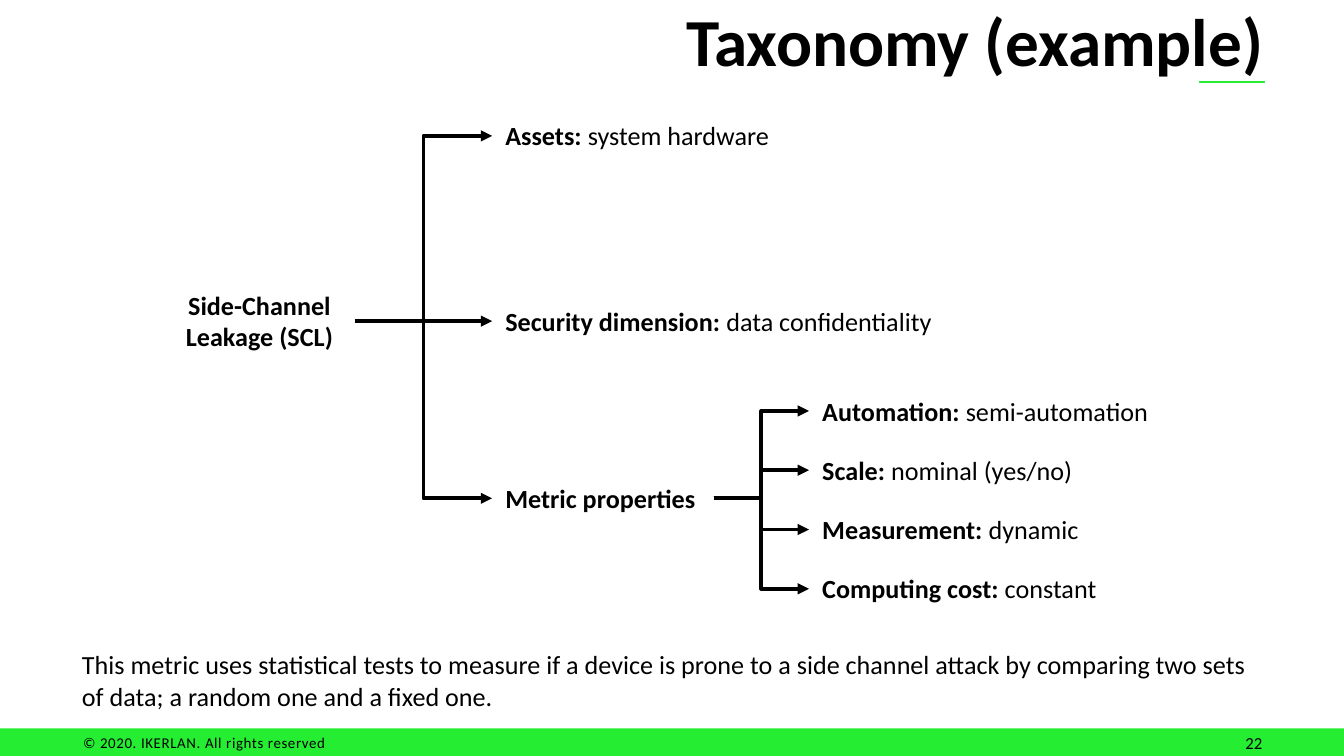
from pptx import Presentation
from pptx.dml.color import RGBColor
from pptx.enum.shapes import MSO_CONNECTOR, MSO_SHAPE
from pptx.enum.text import MSO_ANCHOR, PP_ALIGN
from pptx.oxml.ns import qn
from pptx.util import Cm, Pt
from lxml.etree import SubElement

BLACK = "000000"
GREEN = "25EE32"
LEFT_SIDE, RIGHT_SIDE = 1, 3  # connection sites of a rectangle

LABEL_HEIGHT = 0.86
BRANCH_LEFT = 9.3
LEAF_LEFT, LEAF_WIDTH = 15.29, 6.93
LEAF_FIRST, LEAF_STEP = 7.77, 1.12
ROOT_MIDDLE = 6.07

BRANCHES = [
    ("Assets: ", "system hardware", 2.57, 5.99),
    ("Security dimension: ", "data confidentiality", ROOT_MIDDLE, 9.19),
    ("Metric properties", "", 9.42, 4.19),
]
LEAVES = [
    ("Automation: ", "semi-automation"),
    ("Scale: ", "nominal (yes/no)"),
    ("Measurement: ", "dynamic"),
    ("Computing cost: ", "constant"),
]


def color(hex_value):
    return RGBColor.from_string(hex_value)


class SlideBuilder:
    """Holds the text style and the slide being drawn."""

    font_name = "Calibri"
    text_size = 14

    def __init__(self, page):
        self.page = page

    def text(self, spans, left, top, width, height, size=text_size,
             align=PP_ALIGN.LEFT, anchor=MSO_ANCHOR.TOP, inset=None, spacing=None):
        """Add a text box of one paragraph; spans are (text, bold) pairs."""
        box = self.page.shapes.add_textbox(Cm(left), Cm(top), Cm(width), Cm(height))
        frame = box.text_frame
        frame.word_wrap = True
        frame.vertical_anchor = anchor
        if inset is not None:
            frame.margin_left = frame.margin_right = Cm(inset)
            frame.margin_top = frame.margin_bottom = Cm(inset)
        para = frame.paragraphs[0]
        para.alignment = align
        para.font.name = self.font_name
        para.font.size = Pt(size)
        para.font.color.rgb = color(BLACK)
        for words, bold in spans:
            span = para.add_run()
            span.text = words
            span.font.bold = bold
            if spacing:
                span.font._element.set("spc", str(spacing))
        return box

    def label(self, name, value, left, middle, width):
        """Add a one-line label: bold name, then plain value."""
        spans = [(name, True)] + ([(value, False)] if value else [])
        return self.text(spans, left, middle - LABEL_HEIGHT / 2, width, LABEL_HEIGHT)

    def bar(self, left, top, width, height):
        shape = self.page.shapes.add_shape(
            MSO_SHAPE.RECTANGLE, Cm(left), Cm(top), Cm(width), Cm(height))
        shape.shadow.inherit = False
        shape.fill.solid()
        shape.fill.fore_color.rgb = color(GREEN)
        shape.line.fill.background()

    def line(self, kind, start, end, hex_value, weight):
        connector = self.page.shapes.add_connector(
            kind, Cm(start[0]), Cm(start[1]), Cm(end[0]), Cm(end[1]))
        connector.line.color.rgb = color(hex_value)
        connector.line.width = Pt(weight)
        SubElement(connector._element.spPr, qn("a:effectLst"))
        return connector

    def arrow(self, source, target, kind=MSO_CONNECTOR.ELBOW):
        """Join the right side of source to the left side of target."""
        connector = self.line(kind, (0, 0), (0, 0), BLACK, 2)
        connector.begin_connect(source, RIGHT_SIDE)
        connector.end_connect(target, LEFT_SIDE)
        outline = connector.line._get_or_add_ln()
        SubElement(outline, qn("a:tailEnd"), type="triangle")


def main():
    deck = Presentation()
    deck.slide_width, deck.slide_height = Cm(25.4), Cm(14.29)
    slide = SlideBuilder(deck.slides.add_slide(deck.slide_layouts[6]))

    slide.bar(0, 13.77, 25.4, 0.52)
    slide.text([("© 2020. IKERLAN. All rights reserved", False)],
               1.57, 13.87, 7.24, 0.33, size=8, inset=0, spacing=30)
    slide.line(MSO_CONNECTOR.STRAIGHT, (22.66, 1.55), (23.9, 1.55), GREEN, 0.95)
    slide.text([("Taxonomy (example)", True)], 5.89, -0.05, 18.24, 1.6,
               size=36, align=PP_ALIGN.RIGHT, anchor=MSO_ANCHOR.MIDDLE)
    slide.text([("22", False)], 18.19, 13.72, 5.92, 0.58,
               size=9, align=PP_ALIGN.RIGHT)

    root_height = 1.46
    root = slide.text([("Side-Channel Leakage (SCL)", True)],
                      3.1, ROOT_MIDDLE - root_height / 2, 3.61, root_height,
                      align=PP_ALIGN.CENTER)
    slide.text([("This metric uses statistical tests to measure if a device is prone "
                 "to a side channel attack by comparing two sets of data; "
                 "a random one and a fixed one.", False)],
               1.3, 12.14, 22.83, 1.45)

    for name, value, middle, width in BRANCHES:
        branch = slide.label(name, value, BRANCH_LEFT, middle, width)
        level = middle == ROOT_MIDDLE
        slide.arrow(root, branch, MSO_CONNECTOR.STRAIGHT if level else MSO_CONNECTOR.ELBOW)

    metric = branch
    for row, (name, value) in enumerate(LEAVES):
        leaf = slide.label(name, value, LEAF_LEFT, LEAF_FIRST + row * LEAF_STEP, LEAF_WIDTH)
        slide.arrow(metric, leaf)

    deck.save("out.pptx")


if __name__ == "__main__":
    main()
